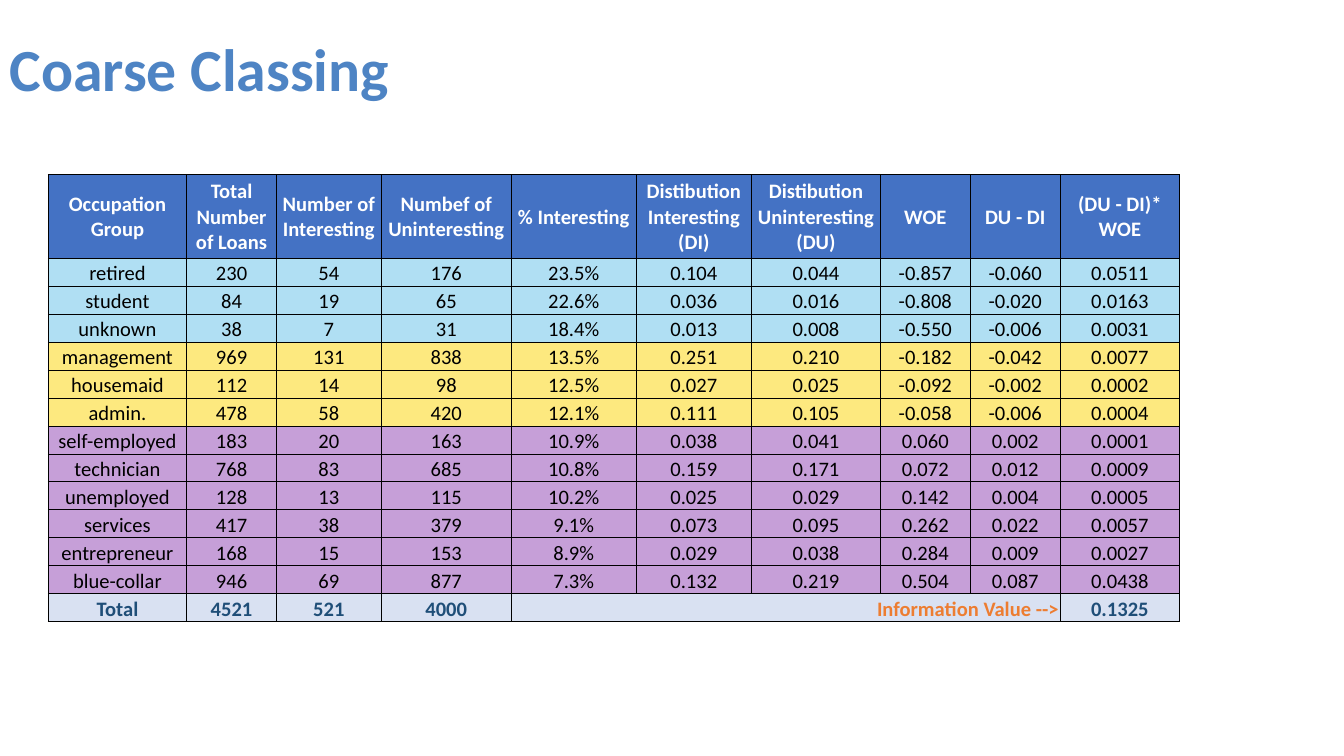
from dataclasses import dataclass

from lxml import etree
from pptx import Presentation
from pptx.dml.color import RGBColor
from pptx.enum.text import MSO_ANCHOR, MSO_AUTO_SIZE, PP_ALIGN
from pptx.oxml.ns import qn
from pptx.util import Inches, Pt

LEFT, CENTER, RIGHT = PP_ALIGN.LEFT, PP_ALIGN.CENTER, PP_ALIGN.RIGHT
MIDDLE, BOTTOM = MSO_ANCHOR.MIDDLE, MSO_ANCHOR.BOTTOM


@dataclass(frozen=True)
class Theme:
    font: str = "Calibri"
    title_size: int = 32
    table_size: int = 11
    border_width: float = 0.5
    title: str = "4E84C4"
    header_fill: str = "4472C4"
    header_text: str = "FFFFFF"
    body_text: str = "000000"
    border: str = "000000"
    total_fill: str = "D9E1F2"
    total_text: str = "1F4E78"
    accent: str = "ED7D31"
    high: str = "B0DFF3"
    medium: str = "FDE97F"
    low: str = "C69FD8"


THEME = Theme()

TITLE = "Coarse Classing"
HEADERS = (
    "Occupation Group", "Total Number of Loans", "Number of Interesting",
    "Numbef of Uninteresting", "% Interesting", "Distibution Interesting (DI)",
    "Distibution Uninteresting (DU)", "WOE", "DU - DI", "(DU - DI)* WOE",
)
CLASSES = (
    (THEME.high, (
        ("retired", "230", "54", "176", "23.5%", "0.104", "0.044", "-0.857", "-0.060", "0.0511"),
        ("student", "84", "19", "65", "22.6%", "0.036", "0.016", "-0.808", "-0.020", "0.0163"),
        ("unknown", "38", "7", "31", "18.4%", "0.013", "0.008", "-0.550", "-0.006", "0.0031"),
    )),
    (THEME.medium, (
        ("management", "969", "131", "838", "13.5%", "0.251", "0.210", "-0.182", "-0.042", "0.0077"),
        ("housemaid", "112", "14", "98", "12.5%", "0.027", "0.025", "-0.092", "-0.002", "0.0002"),
        ("admin.", "478", "58", "420", "12.1%", "0.111", "0.105", "-0.058", "-0.006", "0.0004"),
    )),
    (THEME.low, (
        ("self-employed", "183", "20", "163", "10.9%", "0.038", "0.041", "0.060", "0.002", "0.0001"),
        ("technician", "768", "83", "685", "10.8%", "0.159", "0.171", "0.072", "0.012", "0.0009"),
        ("unemployed", "128", "13", "115", "10.2%", "0.025", "0.029", "0.142", "0.004", "0.0005"),
        ("services", "417", "38", "379", "9.1%", "0.073", "0.095", "0.262", "0.022", "0.0057"),
        ("entrepreneur", "168", "15", "153", "8.9%", "0.029", "0.038", "0.284", "0.009", "0.0027"),
        ("blue-collar", "946", "69", "877", "7.3%", "0.132", "0.219", "0.504", "0.087", "0.0438"),
    )),
)
TOTALS = {0: "Total", 1: "4521", 2: "521", 3: "4000", 9: "0.1325"}
NOTE, NOTE_FIRST, NOTE_LAST = "Information Value -->", 4, 8

SLIDE_WIDTH = 10
SLIDE_HEIGHT = SLIDE_WIDTH * 9 / 16
TITLE_BOX = (0, 0.24, 9.72, 0.53)
TABLE_BOX = (0.36, 1.3, 8.42, 3.33)
COLUMN_SHARES = (1.03, 0.67, 0.78, 0.97, 0.93, 0.86, 0.96, 0.67, 0.67, 0.89)
HEADER_HEIGHT = 0.62


def add_run(p, text, size, color, bold):
    r = p.add_run()
    r.text = text
    r.font.name, r.font.size, r.font.bold = THEME.font, Pt(size), bold
    r.font.color.rgb = RGBColor.from_string(color)


def add_title(slide):
    sp = slide.shapes.title
    sp.left, sp.top, sp.width, sp.height = map(Inches, TITLE_BOX)
    tf = sp.text_frame
    tf.auto_size, tf.word_wrap = MSO_AUTO_SIZE.NONE, True
    tf.vertical_anchor = MIDDLE
    tf.margin_left = tf.margin_right = Inches(0.07)
    tf.margin_top = tf.margin_bottom = Inches(0.04)
    p = tf.paragraphs[0]
    p.alignment = LEFT
    add_run(p, TITLE, THEME.title_size, THEME.title, True)


def style_cell(cell, fill, anchor):
    cell.margin_left = cell.margin_right = cell.margin_top = Inches(0.01)
    cell.margin_bottom = 0
    cell.vertical_anchor = anchor
    tc_pr = cell._tc.get_or_add_tcPr()
    for side in ("lnL", "lnR", "lnT", "lnB"):
        ln = etree.SubElement(tc_pr, qn(f"a:{side}"), w=str(Pt(THEME.border_width)))
        solid = etree.SubElement(ln, qn("a:solidFill"))
        etree.SubElement(solid, qn("a:srgbClr"), val=THEME.border)
    cell.fill.solid()
    cell.fill.fore_color.rgb = RGBColor.from_string(fill)


def write_cell(cell, text, color, bold=False, align=CENTER):
    p = cell.text_frame.paragraphs[0]
    p.alignment = align
    add_run(p, text, THEME.table_size, color, bold)


def add_class_table(slide):
    body = [(fill, row) for fill, rows in CLASSES for row in rows]
    fills = [THEME.header_fill, *(fill for fill, _ in body), THEME.total_fill]
    last = len(fills) - 1
    _, _, width, height = TABLE_BOX
    row_height = (height - HEADER_HEIGHT) / last
    table = slide.shapes.add_table(
        len(fills), len(HEADERS), *map(Inches, TABLE_BOX)).table
    table.first_row = table.horz_banding = False
    for column, share in zip(table.columns, COLUMN_SHARES):
        column.width = Inches(width * share / sum(COLUMN_SHARES))
    for i, (row, fill) in enumerate(zip(table.rows, fills)):
        row.height = Inches(row_height if i else HEADER_HEIGHT)
        for cell in row.cells:
            style_cell(cell, fill, BOTTOM if i else MIDDLE)

    for j, text in enumerate(HEADERS):
        write_cell(table.cell(0, j), text, THEME.header_text, bold=True)
    for i, (_, values) in enumerate(body, 1):
        for j, text in enumerate(values):
            write_cell(table.cell(i, j), text, THEME.body_text)

    for j, text in TOTALS.items():
        write_cell(table.cell(last, j), text, THEME.total_text, bold=True)
    note = table.cell(last, NOTE_FIRST)
    note.merge(table.cell(last, NOTE_LAST))
    write_cell(note, NOTE, THEME.accent, bold=True, align=RIGHT)


def main():
    prs = Presentation()
    prs.slide_width, prs.slide_height = Inches(SLIDE_WIDTH), Inches(SLIDE_HEIGHT)
    slide = prs.slides.add_slide(prs.slide_layouts.get_by_name("Title Only"))
    add_title(slide)
    add_class_table(slide)
    prs.save("out.pptx")


if __name__ == "__main__":
    main()
